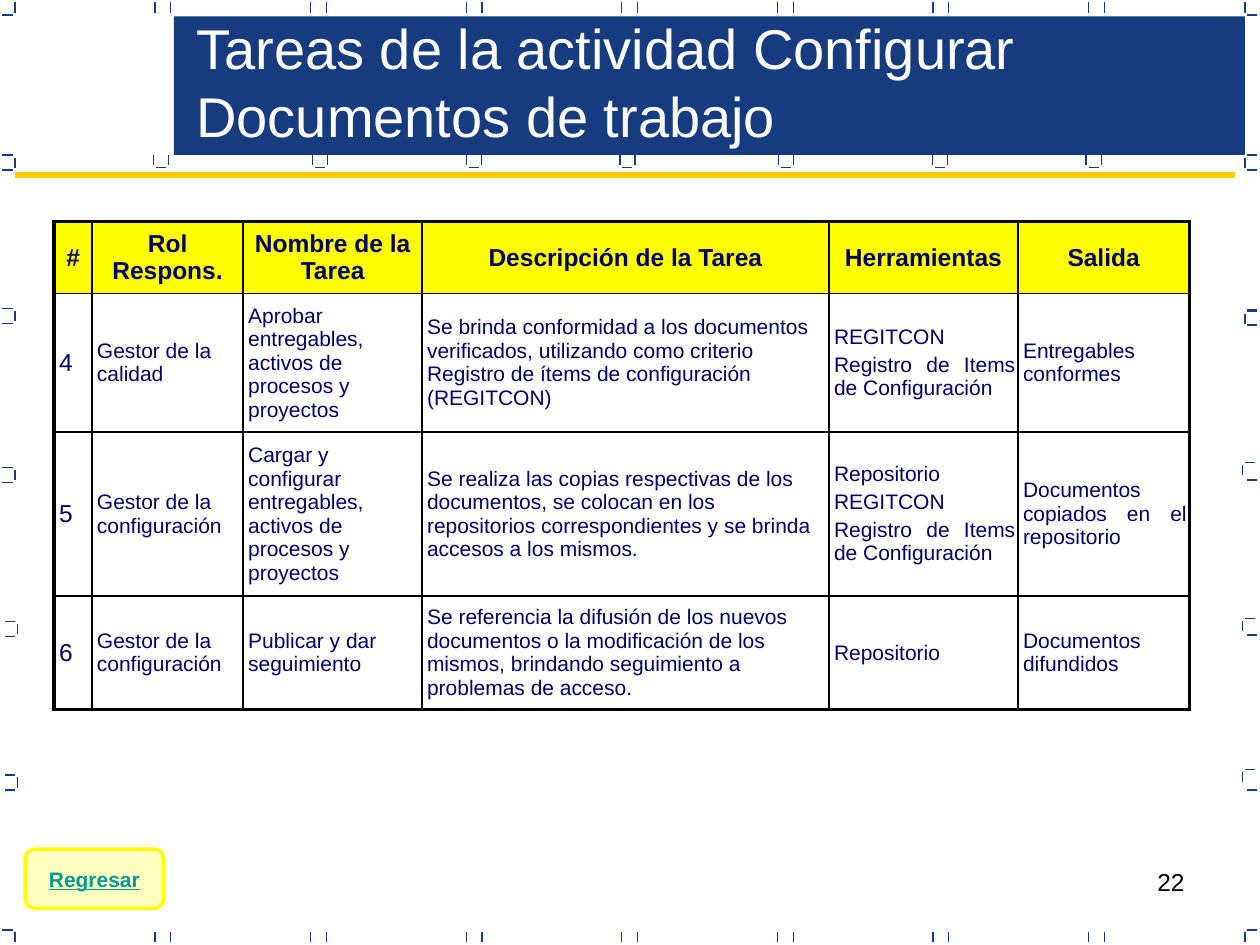
from lxml import etree
from pptx import Presentation
from pptx import util as u
from pptx.dml.color import RGBColor
from pptx.enum import shapes, text
from pptx.oxml import ns

COLORS = {"navy": "163B7F", "gold": "FFCC00", "yellow": "FFFF00", "ink": "000066",
          "black": "000000", "white": "FFFFFF", "teal": "009999"}
FONT = "Arial"
TICK = 0.08
LEFT, CENTER, RIGHT, JUSTIFY = (text.PP_ALIGN.LEFT, text.PP_ALIGN.CENTER,
                                text.PP_ALIGN.RIGHT, text.PP_ALIGN.JUSTIFY)
COLUMNS = [0.3, 1.2, 1.42, 3.23, 1.5, 1.36]
ROWS = [0.57, 1.1, 1.3, 0.9]
HEADERS = ["#", "Rol Respons.", "Nombre de la Tarea", "Descripción de la Tarea",
           "Herramientas", "Salida"]
TASKS = [
    ["4", "Gestor de la calidad",
     "Aprobar entregables, activos de procesos y proyectos",
     "Se brinda conformidad a los documentos verificados, utilizando como criterio "
     "Registro de ítems de configuración (REGITCON)",
     "REGITCON\nRegistro de Items de Configuración", "Entregables conformes"],
    ["5", "Gestor de la configuración",
     "Cargar y configurar entregables, activos de procesos y proyectos",
     "Se realiza las copias respectivas de los documentos, se colocan en los "
     "repositorios correspondientes y se brinda accesos a los mismos.",
     "Repositorio\nREGITCON\nRegistro de Items de Configuración",
     "Documentos copiados en el repositorio"],
    ["6", "Gestor de la configuración", "Publicar y dar seguimiento",
     "Se referencia la difusión de los nuevos documentos o la modificación de los "
     "mismos, brindando seguimiento a problemas de acceso.",
     "Repositorio", "Documentos difundidos"],
]


def rgb(name):
    return RGBColor.from_string(COLORS[name])


def add_run(p, content, size, color, bold=False, underline=False):
    r = p.add_run()
    r.text = content
    r.font.name = FONT
    r.font.size = u.Pt(size)
    r.font.color.rgb = rgb(color)
    r.font.bold = bold
    r.font.underline = underline


def add_line(s, x1, y1, x2, y2, color="navy", width=0.75):
    line = s.shapes.add_connector(shapes.MSO_CONNECTOR.STRAIGHT,
                                  *map(u.Inches, (x1, y1, x2, y2)))
    line.line.color.rgb = rgb(color)
    line.line.width = u.Pt(width)
    etree.SubElement(line._element.spPr, ns.qn("a:effectLst"))


def add_ticks_down(s, points):
    for x, y in points:
        add_line(s, x, y, x, y + TICK)


def add_ticks_across(s, points):
    for x, y in points:
        add_line(s, x, y, x + TICK, y)


def add_frame(s):
    xs = [0.12, 9.88]
    for i in range(7):
        left = 1.23 + 1.235 * i
        xs += [left, left + 0.125]
    add_ticks_down(s, [(x, y) for x in xs for y in (0.02, 7.4)])
    add_ticks_across(s, [(x, y) for x in (0.02, 9.9) for y in (0.12, 7.38)])
    add_ticks_across(s, [(9.9, y) for y in (1.35, 2.46, 2.58, 3.81, 5.04, 6.27)])


def add_brackets(s):
    for x, y in [(0.02, 1.23), (0.02, 2.45), (0.02, 3.71), (0.04, 4.93), (0.04, 6.15)]:
        add_ticks_across(s, [(x, y), (x, y + 0.12)])
        add_ticks_down(s, [(x + 0.1, y + 0.02)])
    for x, y in [(9.88, 1.23), (9.88, 2.47), (9.86, 3.67), (9.86, 4.91), (9.86, 6.11)]:
        add_ticks_down(s, [(x, y + 0.02)])
        add_ticks_across(s, [(x + 0.02, y)])
    for x in (1.22, 2.48, 3.7, 4.92, 6.18, 7.4, 8.62):
        add_ticks_down(s, [(x, 1.23), (x + 0.12, 1.23)])
        add_ticks_across(s, [(x + 0.02, 1.33)])


def add_shape(s, kind, box, fill):
    sp = s.shapes.add_shape(kind, *map(u.Inches, box))
    sp.shadow.inherit = False
    sp.fill.solid()
    sp.fill.fore_color.rgb = rgb(fill)
    sp.line.fill.background()
    return sp


def add_text(s, box, content, size, color, align=LEFT, anchor=text.MSO_ANCHOR.TOP):
    tf = s.shapes.add_textbox(*map(u.Inches, box)).text_frame
    tf.word_wrap = True
    tf.vertical_anchor = anchor
    p = tf.paragraphs[0]
    p.alignment = align
    add_run(p, content, size, color)


def add_button(s):
    sp = add_shape(s, shapes.MSO_SHAPE.FLOWCHART_ALTERNATE_PROCESS,
                   (0.2, 6.74, 1.1, 0.47), "yellow")
    color = sp._element.spPr.find(ns.qn("a:solidFill"))[0]
    etree.SubElement(color, ns.qn("a:alpha"), val="25000")
    sp.line.color.rgb = rgb("yellow")
    sp.line.width = u.Pt(2)
    tf = sp.text_frame
    tf.word_wrap = False
    tf.vertical_anchor = text.MSO_ANCHOR.MIDDLE
    p = tf.paragraphs[0]
    p.alignment = CENTER
    add_run(p, "Regresar", 12, "teal", bold=True, underline=True)


def set_borders(cell, widths):
    pr = cell._tc.get_or_add_tcPr()
    for i, (side, width) in enumerate(widths.items()):
        ln = etree.Element(ns.qn(f"a:ln{side}"), w=str(u.Pt(width)))
        fill = etree.SubElement(ln, ns.qn("a:solidFill"))
        etree.SubElement(fill, ns.qn("a:srgbClr"), val=COLORS["black"])
        pr.insert(i, ln)


def fill_cell(cell, content, header, column):
    cell.vertical_anchor = text.MSO_ANCHOR.MIDDLE
    cell.margin_left = u.Inches(0 if header else 0.04)
    cell.margin_right = u.Inches(0 if header else 0.02)
    cell.margin_top = cell.margin_bottom = u.Inches(0.05)
    if header:
        cell.fill.solid()
        cell.fill.fore_color.rgb = rgb("yellow")
    else:
        cell.fill.background()
    size = 14 if header or column == 0 else 12
    tf = cell.text_frame
    for i, part in enumerate(content.split("\n")):
        p = tf.add_paragraph() if i else tf.paragraphs[0]
        p.space_before = u.Pt(size * 0.2)
        justified = column >= 4 and part != "Repositorio"
        p.alignment = CENTER if header else JUSTIFY if justified else LEFT
        add_run(p, part, size, "ink", bold=header)


def add_task_table(s):
    frame = s.shapes.add_table(len(ROWS), len(COLUMNS),
                               *map(u.Inches, (0.43, 1.76, sum(COLUMNS), sum(ROWS))))
    table = frame.table
    table.first_row = table.horz_banding = False
    for column, width in zip(table.columns, COLUMNS):
        column.width = u.Inches(width)
    for row, height in zip(table.rows, ROWS):
        row.height = u.Inches(height)
    last_row, last_column = len(ROWS) - 1, len(COLUMNS) - 1
    for i, contents in enumerate([HEADERS] + TASKS):
        for j, content in enumerate(contents):
            cell = table.cell(i, j)
            fill_cell(cell, content, i == 0, j)
            outer = {"L": j == 0, "R": j == last_column, "T": i == 0, "B": i == last_row}
            set_borders(cell, {side: 2.25 if edge else 1 for side, edge in outer.items()})


def main():
    prs = Presentation()
    prs.slide_width, prs.slide_height = u.Inches(10), u.Inches(7.5)
    s = prs.slides.add_slide(prs.slide_layouts[6])
    add_text(s, (7.17, 6.83, 2.33, 0.52), "22", 14, "black", RIGHT)
    add_frame(s)
    add_shape(s, shapes.MSO_SHAPE.RECTANGLE, (1.38, 0.13, 8.5, 1.1), "navy")
    add_brackets(s)
    add_text(s, (1.46, 0.06, 8.35, 1.17),
             "Tareas de la actividad Configurar Documentos de trabajo",
             32, "white", anchor=text.MSO_ANCHOR.MIDDLE)
    add_line(s, 0.12, 1.39, 9.8, 1.39, "gold", 3)
    add_task_table(s)
    add_button(s)
    prs.save("out.pptx")


if __name__ == "__main__":
    main()
